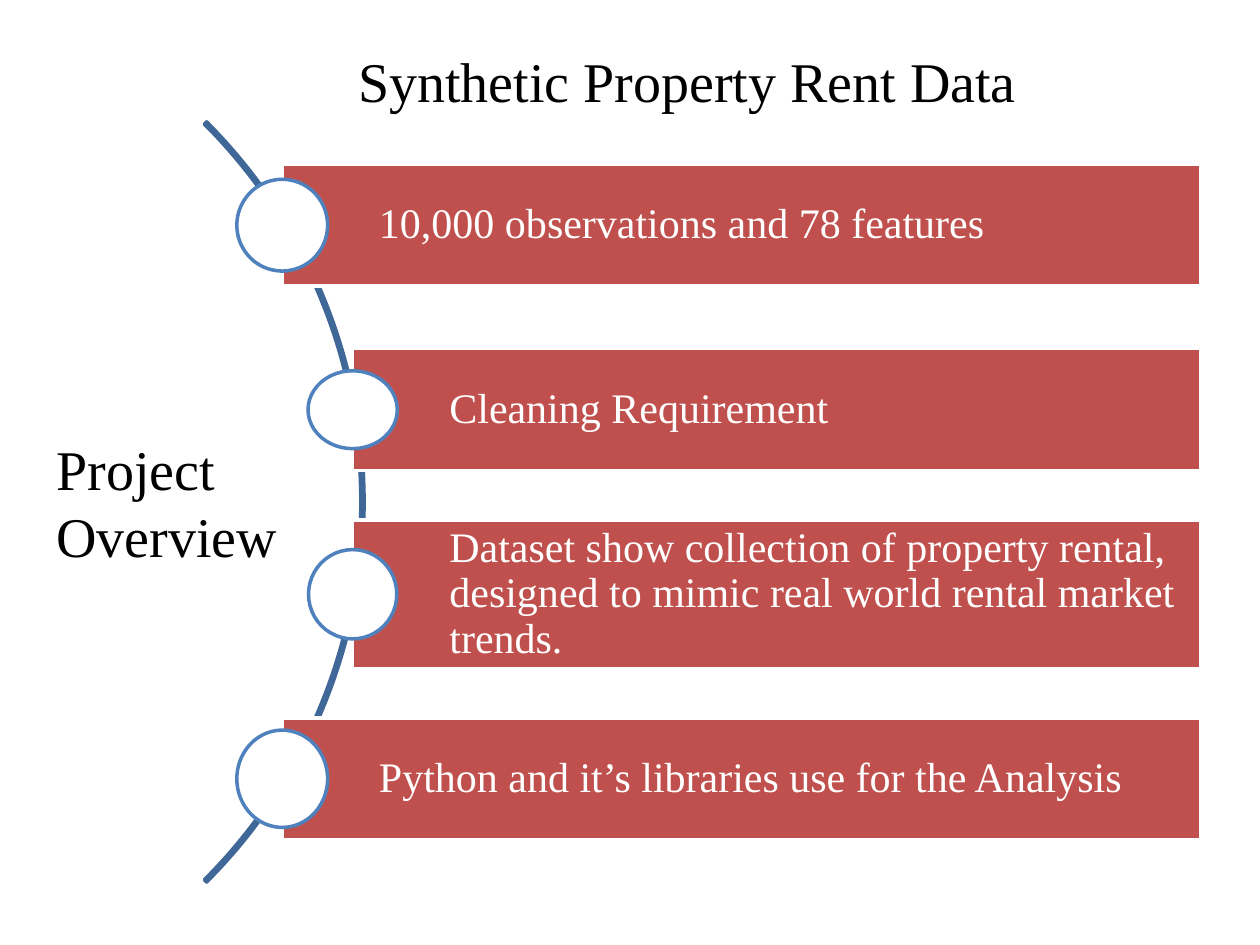
import pptx
import pptx.util
import pptx.dml.color
import pptx.enum.shapes
import pptx.enum.text

Cm = pptx.util.Cm
Pt = pptx.util.Pt
RGBColor = pptx.dml.color.RGBColor
MSO_SHAPE = pptx.enum.shapes.MSO_SHAPE
PP_ALIGN = pptx.enum.text.PP_ALIGN
MSO_ANCHOR = pptx.enum.text.MSO_ANCHOR

RED = RGBColor(0xC0, 0x50, 0x4D)
BLUE = RGBColor(0x4F, 0x81, 0xBD)
DARK_BLUE = RGBColor(0x3F, 0x67, 0x97)
WHITE = RGBColor(0xFF, 0xFF, 0xFF)
BLACK = RGBColor(0x00, 0x00, 0x00)

BAR_RIGHT = 24.21
FIRST_CENTER = 4.54
BAR_STEP = 3.72
ARC_SIZE = 21.67


def add_outlined(kind, left, top, width, height, line_color):
    shape = slide.shapes.add_shape(kind, Cm(left), Cm(top), Cm(width), Cm(height))
    shape.shadow.inherit = False
    shape.line.color.rgb = line_color
    shape.line.width = Pt(2)
    return shape


def format_text(text_frame, size, color):
    text_frame.word_wrap = True
    for paragraph in text_frame.paragraphs:
        paragraph.alignment = PP_ALIGN.LEFT
        for run in paragraph.runs:
            run.font.name = "Times New Roman"
            run.font.size = Pt(size)
            run.font.color.rgb = color


presentation = pptx.Presentation()
presentation.slide_width = Cm(25.4)
presentation.slide_height = Cm(19.05)
slide = presentation.slides.add_slide(presentation.slide_layouts[5])

# Title
title = slide.shapes.title
title.left, title.top, title.width, title.height = Cm(6.81), Cm(0.81), Cm(14.07), Cm(1.63)
title.text_frame.text = "Synthetic Property Rent Data"
title.text_frame.margin_left = Cm(0.41)
title.text_frame.vertical_anchor = MSO_ANCHOR.MIDDLE
format_text(title.text_frame, 32, BLACK)

# Arc behind the bars, centred on the four of them
arc_center = FIRST_CENTER + 1.5 * BAR_STEP
arc = add_outlined(MSO_SHAPE.BLOCK_ARC, -14.33, arc_center - ARC_SIZE / 2,
                   ARC_SIZE, ARC_SIZE, DARK_BLUE)
arc.fill.background()
for index, value in enumerate((189, 27, 0.003)):
    arc.adjustments[index] = value

# Bars, each with a circle centred on its left edge:
# text, bar left, bar height, circle width, circle height
bars = [
    ("10,000 observations and 78 features", 5.69, 2.46, 1.83, 1.85),
    ("Cleaning Requirement", 7.11, 2.46, 1.8, 1.57),
    ("Dataset show collection of property rental, designed to mimic "
     "real world rental market trends.", 7.11, 3, 1.78, 1.8),
    ("Python and it’s libraries use for the Analysis", 5.69, 2.46, 1.83, 1.96),
]
for index, (text, left, height, circle_width, circle_height) in enumerate(bars):
    center = FIRST_CENTER + index * BAR_STEP

    bar = add_outlined(MSO_SHAPE.RECTANGLE, left, center - height / 2,
                       BAR_RIGHT - left, height, WHITE)
    bar.fill.solid()
    bar.fill.fore_color.rgb = RED
    text_frame = bar.text_frame
    text_frame.text = text
    text_frame.margin_left = Cm(1.95)
    text_frame.margin_right = text_frame.margin_top = text_frame.margin_bottom = Cm(0.17)
    text_frame.vertical_anchor = MSO_ANCHOR.MIDDLE
    text_frame.paragraphs[0].line_spacing = 0.9
    format_text(text_frame, 24, WHITE)

    circle = add_outlined(MSO_SHAPE.OVAL, left - circle_width / 2, center - circle_height / 2,
                          circle_width, circle_height, BLUE)
    circle.fill.solid()
    circle.fill.fore_color.rgb = WHITE

# Label inside the arc
label = slide.shapes.add_textbox(Cm(0.89), Cm(8.64), Cm(5.79), Cm(3))
label.text_frame.text = "Project\nOverview"
format_text(label.text_frame, 32, BLACK)

presentation.save("out.pptx")
